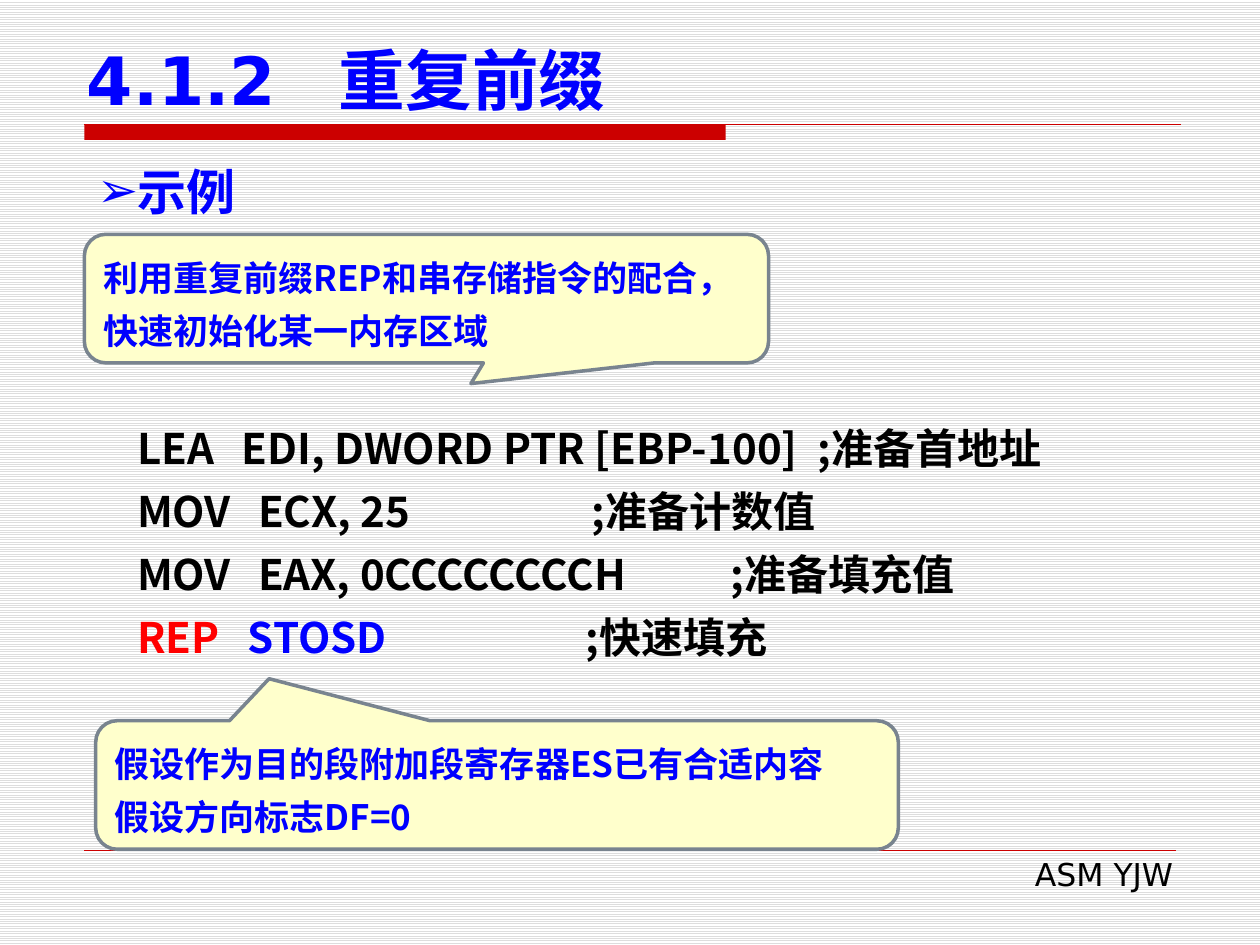
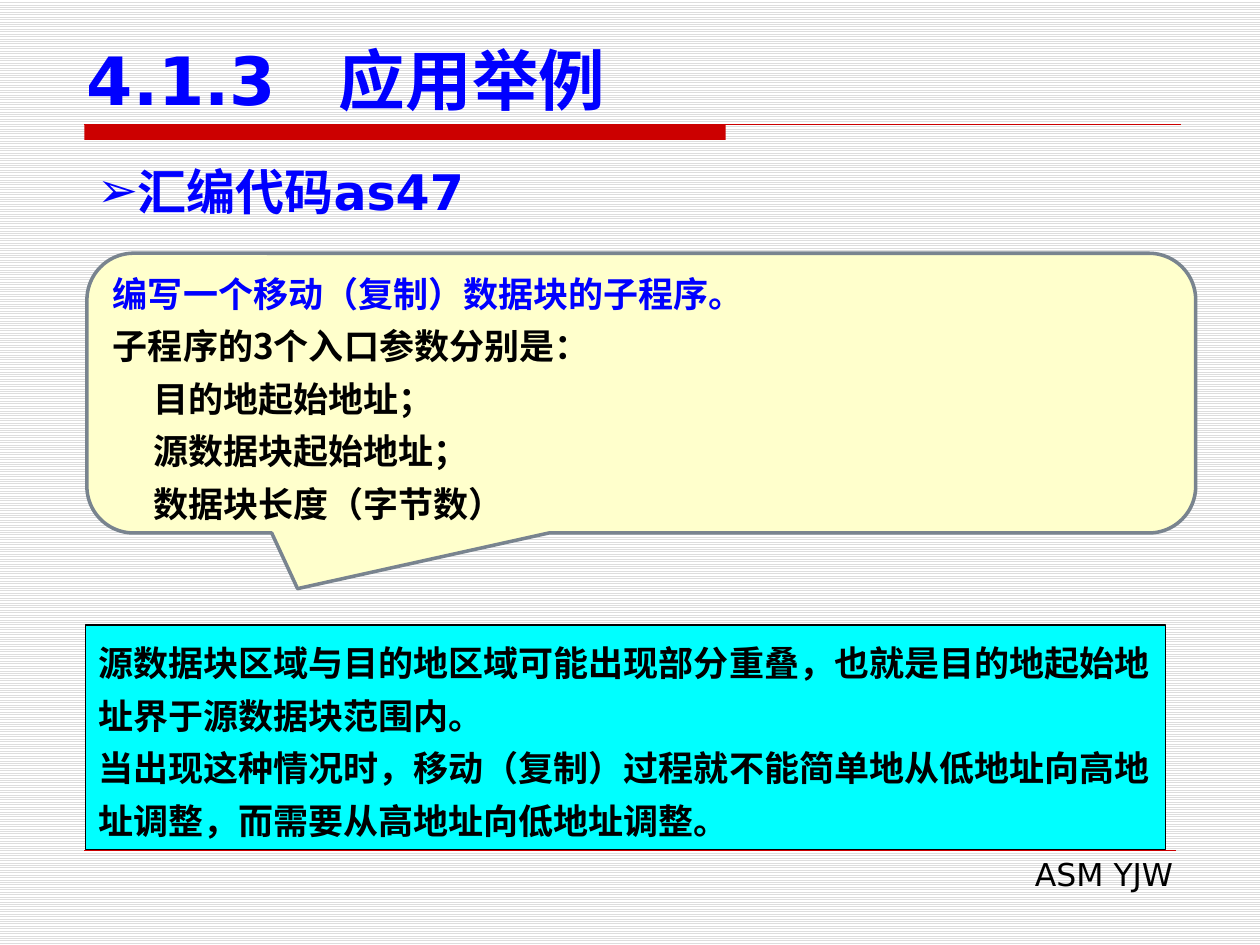
from dataclasses import dataclass

from lxml import etree
from pptx import Presentation
from pptx import util as u
from pptx.dml.color import RGBColor
from pptx.enum import dml, shapes, text
from pptx.oxml import ns


@dataclass(frozen=True)
class Theme:
    blue: str = "0000FF"
    red: str = "FF0000"
    black: str = "000000"
    band: str = "CC0000"
    cream: str = "FFFFCC"
    cyan: str = "00FFFF"
    outline: str = "79848F"
    stripe: str = "DDDDDD"
    paper: str = "FFFFFF"
    latin: str = "DejaVu Sans"
    cjk: str = "Noto Sans CJK SC"
    title: int = 38
    heading: int = 28
    code: int = 24
    note: int = 20
    footer: int = 18


def rgb(value):
    return RGBColor.from_string(value)


def child(parent, tag, **attrs):
    return etree.SubElement(parent, ns.qn(tag), attrs)


class Deck:
    def __init__(self, theme):
        self.t = theme
        self.prs = Presentation()
        self.prs.slide_width, self.prs.slide_height = u.Inches(10), u.Inches(7.5)
        fill = self.prs.slide_master.background.fill
        fill.patterned()
        fill.pattern = dml.MSO_PATTERN.LIGHT_HORIZONTAL
        fill.fore_color.rgb = rgb(theme.stripe)
        fill.back_color.rgb = rgb(theme.paper)

    def new_slide(self, number, title, heading):
        t = self.t
        self.s = self.prs.slides.add_slide(self.prs.slide_layouts[1])
        self.shape(shapes.MSO_SHAPE.RECTANGLE, (0.67, 0.99, 5.09, 0.12), t.band)
        self.line(0.67, 9.37, 0.99, 0.75)
        self.line(0.67, 9.33, 6.75, 0.25)
        tf = self.textbox((3.82, 6.74, 5.59, 0.4))
        p = self.paragraph(tf, [("ASM YJW", t.black)], t.footer, t.latin, bold=False)
        p.alignment = text.PP_ALIGN.RIGHT

        tf = self.placeholder(self.s.shapes.title, (0.59, 0.28, 9.06, 0.71),
                              text.MSO_ANCHOR.BOTTOM)
        p = self.paragraph(tf, [(f"{number}\t{title}", t.blue)], t.title, t.latin, tabs=[2])
        p.alignment = text.PP_ALIGN.LEFT

        tf = self.placeholder(self.s.placeholders[1], (0.67, 1.23, 8.66, 0.57),
                              text.MSO_ANCHOR.MIDDLE)
        p = self.paragraph(tf, [(heading, t.blue)], t.heading, t.latin, indent=0.3)
        p.space_before = u.Pt(0)
        pPr = p._p.get_or_add_pPr()
        pPr.set("indent", str(-u.Inches(0.3)))
        child(pPr, "a:buChar", char="➢")

    def placeholder(self, sp, box, anchor):
        sp.left, sp.top, sp.width, sp.height = map(u.Inches, box)
        return self.frame(sp, anchor)

    def frame(self, sp, anchor):
        tf = sp.text_frame
        tf.word_wrap = True
        tf.auto_size = text.MSO_AUTO_SIZE.NONE
        tf.vertical_anchor = anchor
        return tf

    def textbox(self, box):
        sp = self.s.shapes.add_textbox(*map(u.Inches, box))
        return self.frame(sp, text.MSO_ANCHOR.TOP)

    def shape(self, kind, box, fill, line=None, width=0.75):
        sp = self.s.shapes.add_shape(kind, *map(u.Inches, box))
        sp.shadow.inherit = False
        sp.fill.solid()
        sp.fill.fore_color.rgb = rgb(fill)
        if line:
            sp.line.color.rgb = rgb(line)
            sp.line.width = u.Pt(width)
        else:
            sp.line.fill.background()
        return sp

    def line(self, left, right, y, width):
        c = self.s.shapes.add_connector(
            shapes.MSO_CONNECTOR.STRAIGHT,
            u.Inches(left), u.Inches(y), u.Inches(right), u.Inches(y))
        c.line.color.rgb = rgb(self.t.band)
        c.line.width = u.Pt(width)
        child(c._element.spPr, "a:effectLst")

    def paragraph(self, tf, runs, size, font, bold=True, spacing=None, indent=0, tabs=()):
        p = tf.paragraphs[0]
        if p.runs:
            p = tf.add_paragraph()
        p.alignment = text.PP_ALIGN.LEFT
        if spacing:
            p.line_spacing = u.Pt(spacing)
        pPr = p._p.get_or_add_pPr()
        if indent:
            pPr.set("marL", str(u.Inches(indent)))
        if tabs:
            tab_list = child(pPr, "a:tabLst")
            for pos in tabs:
                child(tab_list, "a:tab", pos=str(u.Inches(pos)), algn="l")
        for words, color in runs:
            r = p.add_run()
            r.text = words
            r.font.size, r.font.bold, r.font.name = u.Pt(size), bold, font
            r.font.color.rgb = rgb(color)
            child(r._r.get_or_add_rPr(), "a:ea", typeface=self.t.cjk)
        return p

    def notes(self, tf, lines):
        for words, color, indent in lines:
            self.paragraph(tf, [(words, color)], self.t.note, self.t.cjk,
                           spacing=30, indent=indent)

    def callout(self, box, tip, lines):
        sp = self.shape(shapes.MSO_SHAPE.ROUNDED_RECTANGULAR_CALLOUT, box,
                        self.t.cream, self.t.outline, 2)
        for i, value in enumerate((*tip, 0.167)):
            sp.adjustments[i] = value
        self.notes(self.frame(sp, text.MSO_ANCHOR.MIDDLE), lines)

    def panel(self, box, lines):
        sp = self.shape(shapes.MSO_SHAPE.RECTANGLE, box, self.t.cyan, self.t.black)
        self.notes(self.frame(sp, text.MSO_ANCHOR.TOP), lines)

    def code(self, box, lines):
        tf = self.textbox(box)
        for runs, tabs in lines:
            self.paragraph(tf, runs, self.t.code, self.t.cjk, spacing=36, tabs=(0.3, *tabs))


def main():
    t = Theme()
    deck = Deck(t)

    deck.new_slide("4.1.2", "重复前缀", "示例")
    deck.code((0.69, 3.2, 9.06, 2.12), [
        ([("\tLEA\tEDI, DWORD PTR [EBP-100]\t;准备首地址", t.black)], (1.13, 5.7)),
        ([("\tMOV\tECX, 25\t;准备计数值", t.black)], (1.26, 3.91)),
        ([("\tMOV\tEAX, 0CCCCCCCCH\t;准备填充值", t.black)], (1.26, 5.01)),
        ([("\tREP\t", t.red), ("STOSD", t.blue), ("\t;快速填充", t.black)], (1.18, 3.86)),
    ])
    deck.callout((0.67, 1.86, 5.43, 1.02), (0.065, 0.661), [
        ("利用重复前缀REP和串存储指令的配合，快速初始化某一内存区域", t.blue, 0),
    ])
    deck.callout((0.76, 5.72, 6.37, 1.02), (-0.284, -0.827), [
        ("假设作为目的段附加段寄存器ES已有合适内容", t.blue, 0),
        ("假设方向标志DF=0", t.blue, 0),
    ])

    deck.new_slide("4.1.3", "应用举例", "汇编代码as47")
    deck.panel((0.68, 4.96, 8.57, 1.78), [
        ("源数据块区域与目的地区域可能出现部分重叠，也就是目的地起始地址界于源数据块范围内。",
         t.black, 0),
        ("当出现这种情况时，移动（复制）过程就不能简单地从低地址向高地址调整，"
         "而需要从高地址向低地址调整。", t.black, 0),
    ])
    deck.callout((0.69, 2.01, 8.8, 2.22), (-0.31, 0.699), [
        ("编写一个移动（复制）数据块的子程序。", t.blue, 0),
        ("子程序的3个入口参数分别是：", t.black, 0),
        ("目的地起始地址；", t.black, 0.32),
        ("源数据块起始地址；", t.black, 0.32),
        ("数据块长度（字节数）", t.black, 0.32),
    ])

    deck.prs.save("out.pptx")


if __name__ == "__main__":
    main()
